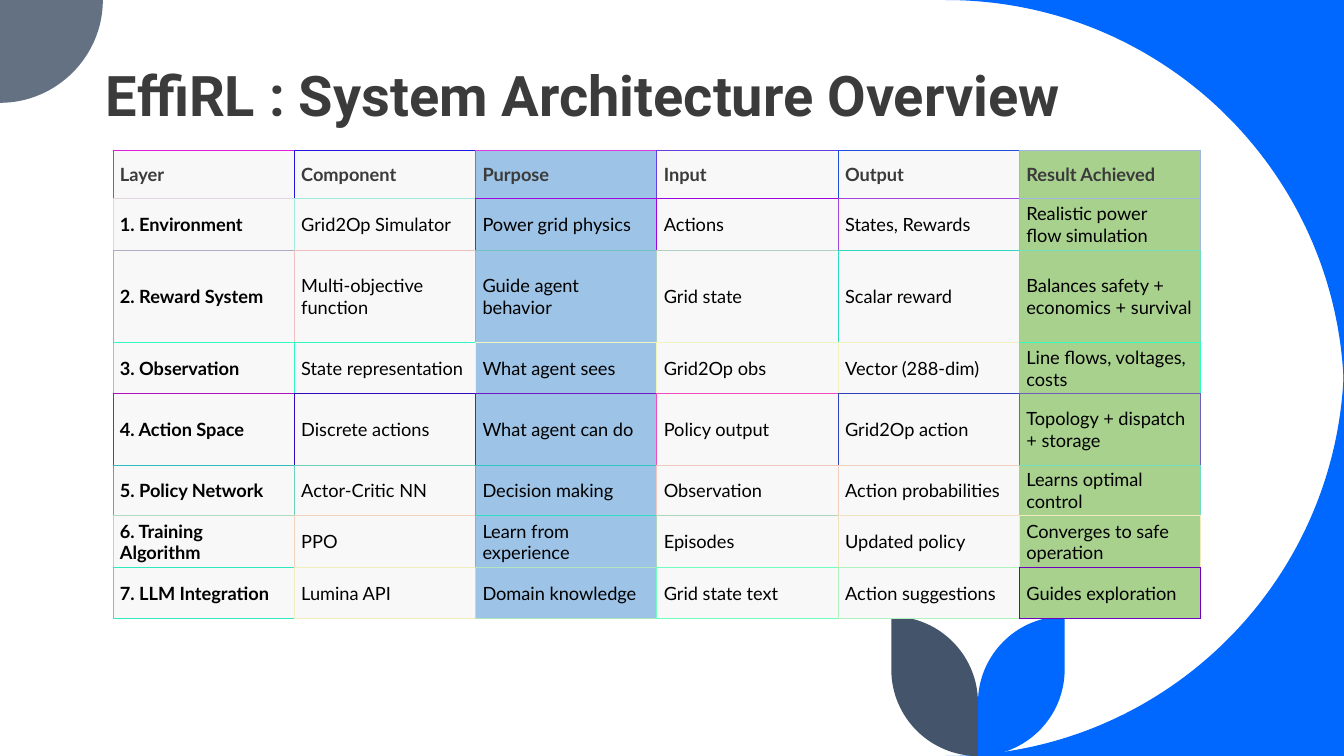
"""Build the system architecture overview slide."""
from lxml import etree
from pptx import Presentation
from pptx.dml.color import RGBColor
from pptx.enum import text
from pptx.oxml import parse_xml
from pptx.oxml.ns import nsdecls, qn
from pptx.util import Inches, Pt

TITLE = "EffiRL : System Architecture Overview"
HARD_SPACE_MARK = "~"
ROWS = [
    ("Layer", "Component", "Purpose", "Input", "Output", "Result Achieved"),
    ("1. Environment", "Grid2Op Simulator", "Power grid physics", "Actions",
     "States, Rewards", "Realistic~power flow~simulation"),
    ("2. Reward System", "Multi-objective function", "Guide agent behavior", "Grid state",
     "Scalar reward", "Balances safety + economics + survival"),
    ("3. Observation", "State representation", "What agent sees", "Grid2Op obs",
     "Vector (288-dim)", "Line flows, voltages, costs"),
    ("4. Action Space", "Discrete actions", "What agent can do", "Policy output",
     "Grid2Op action", "Topology + dispatch + storage"),
    ("5. Policy Network", "Actor-Critic NN", "Decision making", "Observation",
     "Action probabilities", "Learns optimal control"),
    ("6. Training Algorithm", "PPO", "Learn from experience", "Episodes",
     "Updated policy", "Converges to safe operation"),
    ("7. LLM Integration", "Lumina API", "Domain knowledge", "Grid state text",
     "Action suggestions", "Guides exploration"),
]
BORDERS = [
    ("E01EDF", "2015DF", "E03BDF", "6041DF", "204EDF", "A0B4E0"),
    ("E0D4DE", "A0EADE", "A007DF", "A004DF", "A045DF", "A0B7E0"),
    ("B0ACC0", "F0C0C0", "70C3C0", "B0CFC0", "30D8C0", "70DFC0"),
    ("30FCC0", "30F7C0", "F0F6C0", "F0F4BE", "F0F1BE", "30FFBE"),
    ("B00FBF", "3009BF", "7016BF", "F04CBF", "3042BF", "705EBF"),
    ("30BDBF", "70CEBF", "30C5BF", "F0C6BF", "F0CFBF", "70DEBF"),
    ("B0DBBF", "F0D3BF", "30DFBF", "B0D5BF", "F0E1BF", "F0ECBF"),
    ("30EABF", "F0EEBF", "B0E6BF", "70FEBF", "B0F2BF", "7000C0"),
]
COLUMN_FILLS = ("F8F8F8", "F8F8F8", "9DC3E6", "F8F8F8", "F8F8F8", "A9D18E")
ROW_HEIGHTS = (0.48, 0.51, 0.92, 0.5, 0.71, 0.5, 0.51, 0.51)
TABLE_WIDTH = 10.79
BLUE, SLATE, GRAY, INK = "0068FF", "44546A", "637183", "3B3B3B"
WIDTH, HEIGHT = 13.33, 7.5
STEM_X = 9.7

# Each step is a list of points: one point is a line, three are a cubic curve.
TOP_SWEEP = [[(WIDTH, 0)], [(9.38, 0)], [(11.57, 0), (WIDTH, 1.77), (WIDTH, 3.95)]]
CORNER = [[(0, 0)], [(1.02, 0)], [(1.02, 0.56), (0.56, 1.02), (0, 1.02)]]
RIGHT_LEAF = [[(10.56, 6.11)], [(10.56, 6.64)],
              [(10.56, 7.12), (10.17, 7.5), (STEM_X, 7.5)], [(STEM_X, 6.97)],
              [(STEM_X, 6.53), (10.04, 6.16), (10.47, 6.12)]]


def color(value):
    return RGBColor.from_string(value)


def flip_down(steps):
    """Mirror an outline about the middle of the slide height."""
    return [[(x, HEIGHT - y) for x, y in step] for step in steps]


def flip_left(steps):
    """Mirror an outline about the stem."""
    return [[(2 * STEM_X - x, y) for x, y in step] for step in steps]


def add_outline(slide, steps, fill):
    """Draw a filled outline without a line, bending its curved steps."""
    ends = [(Inches(x), Inches(y)) for x, y in (step[-1] for step in steps)]
    builder = slide.shapes.build_freeform(*ends[0])
    builder.add_line_segments(ends[1:], close=True)
    shape = builder.convert_to_shape()
    segments = list(shape._element.iter(qn("a:lnTo")))
    for segment, step in zip(segments, steps[1:]):
        if len(step) == 1:
            continue
        segment.tag = qn("a:cubicBezTo")
        for index, (x, y) in enumerate(step[:-1]):
            control = etree.Element(qn("a:pt"), x=str(Inches(x) - shape.left),
                                    y=str(Inches(y) - shape.top))
            segment.insert(index, control)
    shape.shadow.inherit = False
    shape.fill.solid()
    shape.fill.fore_color.rgb = color(fill)
    shape.line.fill.background()


def format_run(run, size, font, ink, bold):
    run.font.size = Pt(size)
    run.font.name = font
    run.font.color.rgb = color(ink)
    run.font.bold = bold


def add_decoration(slide):
    """Draw the blue sweep, the corner and the two leaves."""
    add_outline(slide, TOP_SWEEP, BLUE)
    add_outline(slide, flip_down(TOP_SWEEP), BLUE)
    add_outline(slide, CORNER, GRAY)
    add_outline(slide, RIGHT_LEAF, BLUE)
    add_outline(slide, flip_left(RIGHT_LEAF), SLATE)


def fill_title(slide):
    """Place the title in front of the decoration."""
    title = slide.shapes.title
    slide.shapes._spTree.append(title._element)
    title.left, title.top = Inches(0.95), Inches(0.18)
    title.width, title.height = Inches(10.69), Inches(1.13)
    frame = title.text_frame
    frame.text = TITLE
    frame.vertical_anchor = text.MSO_ANCHOR.BOTTOM
    frame.auto_size = text.MSO_AUTO_SIZE.NONE
    paragraph = frame.paragraphs[0]
    paragraph.alignment = text.PP_ALIGN.LEFT
    paragraph.line_spacing = 0.8
    format_run(paragraph.runs[0], 40, "Roboto", INK, True)


def set_borders(cell, row, column):
    """Give a cell its own color left and top, its neighbors' right and below."""
    own = BORDERS[row][column]
    right = BORDERS[row][min(column + 1, len(COLUMN_FILLS) - 1)]
    below = BORDERS[min(row + 1, len(ROWS) - 1)][column]
    properties = cell._tc.get_or_add_tcPr()
    for side, value in zip("LRTB", (own, right, own, below)):
        properties.append(parse_xml(
            f'<a:ln{side} {nsdecls("a")} w="{Pt(0.6)}"><a:solidFill>'
            f'<a:srgbClr val="{value}"/></a:solidFill></a:ln{side}>'))


def add_layer_table(slide):
    """Add the table of layers."""
    table = slide.shapes.add_table(
        len(ROWS), len(COLUMN_FILLS), Inches(1.12), Inches(1.49),
        Inches(TABLE_WIDTH), Inches(sum(ROW_HEIGHTS))).table
    table.first_row = table.horz_banding = False
    for column in table.columns:
        column.width = Inches(TABLE_WIDTH / len(COLUMN_FILLS))
    for row, height in enumerate(ROW_HEIGHTS):
        table.rows[row].height = Inches(height)
        for column, fill in enumerate(COLUMN_FILLS):
            cell = table.cell(row, column)
            cell.margin_left, cell.margin_right = Inches(0.07), Inches(0.08)
            cell.margin_top, cell.margin_bottom = Inches(0.04), Inches(0.03)
            cell.vertical_anchor = text.MSO_ANCHOR.MIDDLE
            set_borders(cell, row, column)
            cell.fill.solid()
            cell.fill.fore_color.rgb = color(fill)
            cell.text_frame.text = ROWS[row][column].replace(HARD_SPACE_MARK, chr(160))
            format_run(cell.text_frame.paragraphs[0].runs[0], 13, "Lato",
                       "000000" if row else INK, row == 0 or column == 0)


def main():
    presentation = Presentation()
    presentation.slide_width, presentation.slide_height = Inches(WIDTH), Inches(HEIGHT)
    slide = presentation.slides.add_slide(presentation.slide_layouts[5])
    add_decoration(slide)
    fill_title(slide)
    add_layer_table(slide)
    presentation.save("out.pptx")


if __name__ == "__main__":
    main()
